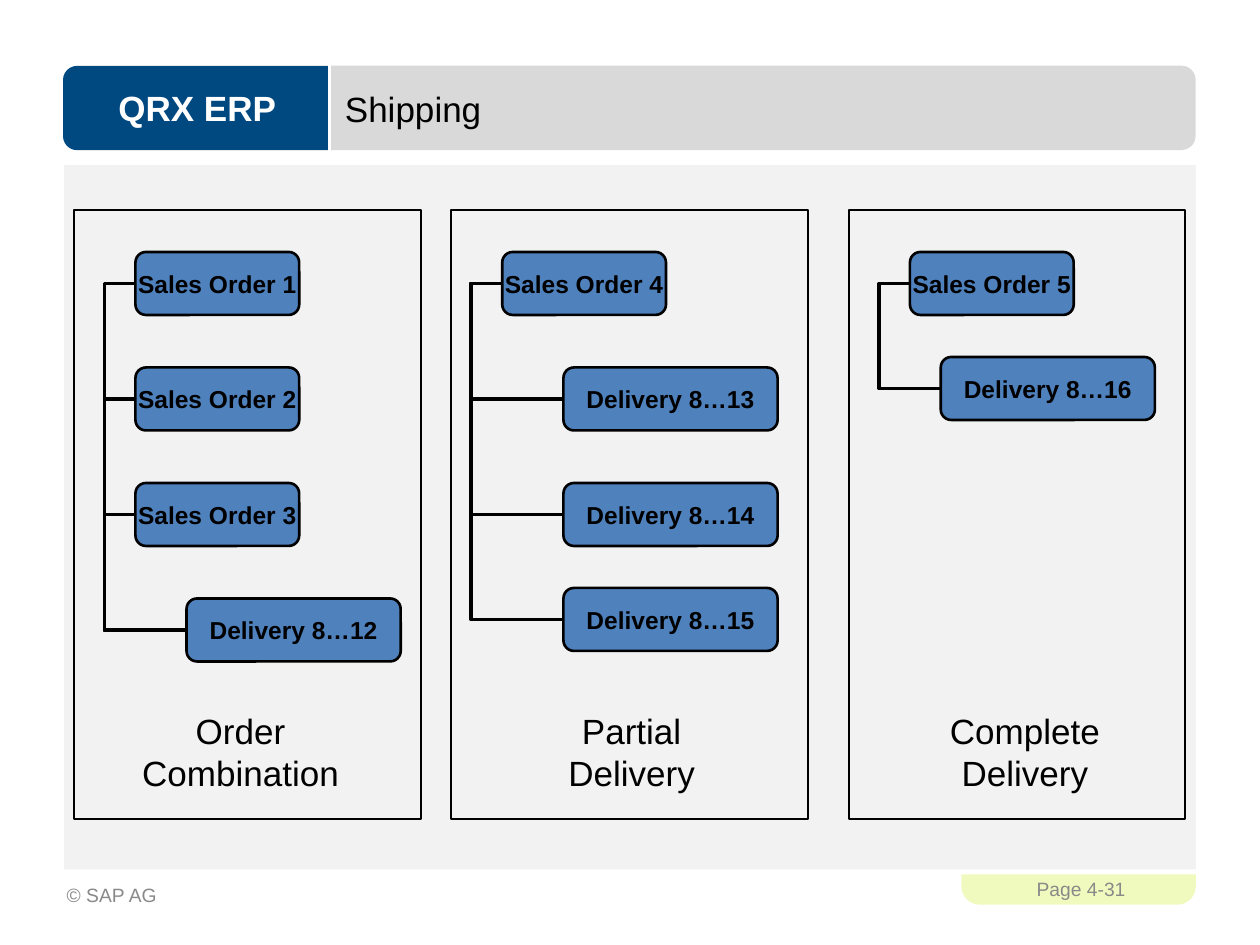
from dataclasses import dataclass

from lxml.etree import SubElement
from pptx import Presentation
from pptx.dml.color import RGBColor
from pptx.enum.shapes import MSO_CONNECTOR, MSO_SHAPE
from pptx.enum.text import MSO_ANCHOR, PP_ALIGN
from pptx.oxml.ns import qn
from pptx.util import Pt


@dataclass(frozen=True)
class Theme:
    font: str = "Arial"
    ink: str = "000000"
    white: str = "FFFFFF"
    navy: str = "004880"
    title_bar: str = "D9D9D9"
    body: str = "F2F2F2"
    page_tab: str = "F1FABE"
    muted: str = "898989"
    node: str = "4F81BD"
    heading_size: int = 20
    node_size: int = 14
    footer_size: int = 11


THEME = Theme()
LEFT_SIDE = 1  # connection site in the middle of the left edge
NODE_HEIGHT, ORDER_WIDTH, DELIVERY_WIDTH = 36, 93.6, 122.4
RAIL_GAP = 17.8  # from the orders to the vertical line on their left
PANEL_TOP, PANEL_HEIGHT = 120.2, 348
CAPTION_TOP, CAPTION_WIDTH, CAPTION_HEIGHT = 401.8, 160, 55.4

# Nodes are (text, top); every order is linked to every delivery of its panel
PANELS = [
    dict(left=42.5, width=198, caption="Order\nCombination", caption_center=137.5,
         order_left=77.4, delivery_left=106.6,
         orders=[("Sales Order 1", 144), ("Sales Order 2", 210), ("Sales Order 3", 276)],
         deliveries=[("Delivery 8…12", 342)]),
    dict(left=257.8, width=204, caption="Partial\nDelivery", caption_center=361,
         order_left=287, delivery_left=322,
         orders=[("Sales Order 4", 144)],
         deliveries=[("Delivery 8…13", 210), ("Delivery 8…14", 276),
                     ("Delivery 8…15", 336)]),
    dict(left=485.2, width=192.2, caption="Complete\nDelivery", caption_center=585.7,
         order_left=520, delivery_left=537.6,
         orders=[("Sales Order 5", 144)],
         deliveries=[("Delivery 8…16", 204)]),
]


def write(shape, text, *, size, color=THEME.ink, bold=False,
          align=PP_ALIGN.CENTER, anchor=MSO_ANCHOR.MIDDLE, wrap=True):
    frame = shape.text_frame
    frame.word_wrap = wrap
    frame.vertical_anchor = anchor
    frame.text = text
    for paragraph in frame.paragraphs:
        paragraph.alignment = align
        paragraph.font.name = THEME.font
        paragraph.font.size = Pt(size)
        paragraph.font.bold = bold
        paragraph.font.color.rgb = RGBColor.from_string(color)


def add_block(slide, kind, left, top, width, height, fill=None, line_width=None,
              corner=None):
    block = slide.shapes.add_shape(kind, Pt(left), Pt(top), Pt(width), Pt(height))
    block.shadow.inherit = False
    if fill:
        block.fill.solid()
        block.fill.fore_color.rgb = RGBColor.from_string(fill)
    else:
        block.fill.background()
    if line_width:
        block.line.color.rgb = RGBColor.from_string(THEME.ink)
        block.line.width = Pt(line_width)
    else:
        block.line.fill.background()
    if corner is not None:
        block.adjustments[0] = corner
    return block


def add_label(slide, text, left, top, width, height, **text_format):
    label = slide.shapes.add_textbox(Pt(left), Pt(top), Pt(width), Pt(height))
    write(label, text, **text_format)


def add_header_end(slide, left, top, width, height, fill, rotation):
    """Bar with two round corners, turned so that they face sideways."""
    end = add_block(slide, MSO_SHAPE.ROUND_2_SAME_RECTANGLE,
                    left + (width - height) / 2, top + (height - width) / 2,
                    height, width, fill)
    end.rotation = rotation


def add_node(slide, text, left, top, width):
    node = add_block(slide, MSO_SHAPE.ROUNDED_RECTANGLE, left, top, width,
                     NODE_HEIGHT, THEME.node, line_width=1.5, corner=0.167)
    write(node, text, size=THEME.node_size, bold=True, wrap=False)
    return node


def add_link(slide, order, delivery):
    link = slide.shapes.add_connector(MSO_CONNECTOR.ELBOW, 0, 0, 0, 0)
    link.begin_connect(order, LEFT_SIDE)
    link.end_connect(delivery, LEFT_SIDE)
    link.line.color.rgb = RGBColor.from_string(THEME.ink)
    link.line.width = Pt(2)
    # Move the bend to the left of both ends
    bend = round(-100000 * Pt(RAIL_GAP) / (delivery.left - order.left))
    properties = link.element.spPr
    SubElement(properties.find(".//" + qn("a:avLst")), qn("a:gd"),
               name="adj1", fmla=f"val {bend}")
    SubElement(properties, qn("a:effectLst"))


def add_frame(slide):
    # Page tab, its upper half covered, and the body area
    add_block(slide, MSO_SHAPE.ROUNDED_RECTANGLE, 549.4, 488.2, 133.9, 28.8,
              THEME.page_tab, corner=0.365)
    add_block(slide, MSO_SHAPE.RECTANGLE, 540.7, 482.4, 160.6, 17.3, THEME.white)
    add_block(slide, MSO_SHAPE.RECTANGLE, 36.7, 94.3, 646.6, 402.5, THEME.body)

    # Header
    add_header_end(slide, 36, 37.6, 151.4, 48.2, THEME.navy, 270)
    add_header_end(slide, 189.2, 37.6, 494, 48.2, THEME.title_bar, 90)
    add_label(slide, "QRX ERP", 37, 37.6, 151.4, 48.2,
              size=THEME.heading_size, color=THEME.white, bold=True)
    add_label(slide, "Shipping", 190, 38.7, 480, 46.8,
              size=THEME.heading_size, align=PP_ALIGN.LEFT)

    # Footer
    footer = dict(size=THEME.footer_size, color=THEME.muted)
    add_label(slide, "Page 4-31", 552.6, 493.6, 130.3, 28.8, **footer)
    add_label(slide, "© SAP AG", 31, 496.8, 324.7, 28.8, align=PP_ALIGN.LEFT, **footer)


def add_panel(slide, panel):
    add_block(slide, MSO_SHAPE.RECTANGLE, panel["left"], PANEL_TOP,
              panel["width"], PANEL_HEIGHT, line_width=1)
    add_label(slide, panel["caption"], panel["caption_center"] - CAPTION_WIDTH / 2,
              CAPTION_TOP, CAPTION_WIDTH, CAPTION_HEIGHT,
              size=THEME.heading_size, anchor=MSO_ANCHOR.TOP)
    orders = [add_node(slide, text, panel["order_left"], top, ORDER_WIDTH)
              for text, top in panel["orders"]]
    deliveries = [add_node(slide, text, panel["delivery_left"], top, DELIVERY_WIDTH)
                  for text, top in panel["deliveries"]]
    for order in orders:
        for delivery in deliveries:
            add_link(slide, order, delivery)


def main():
    deck = Presentation()
    deck.slide_width, deck.slide_height = Pt(720), Pt(540)
    slide = deck.slides.add_slide(deck.slide_layouts[6])
    add_frame(slide)
    for panel in PANELS:
        add_panel(slide, panel)
    deck.save("out.pptx")


if __name__ == "__main__":
    main()
